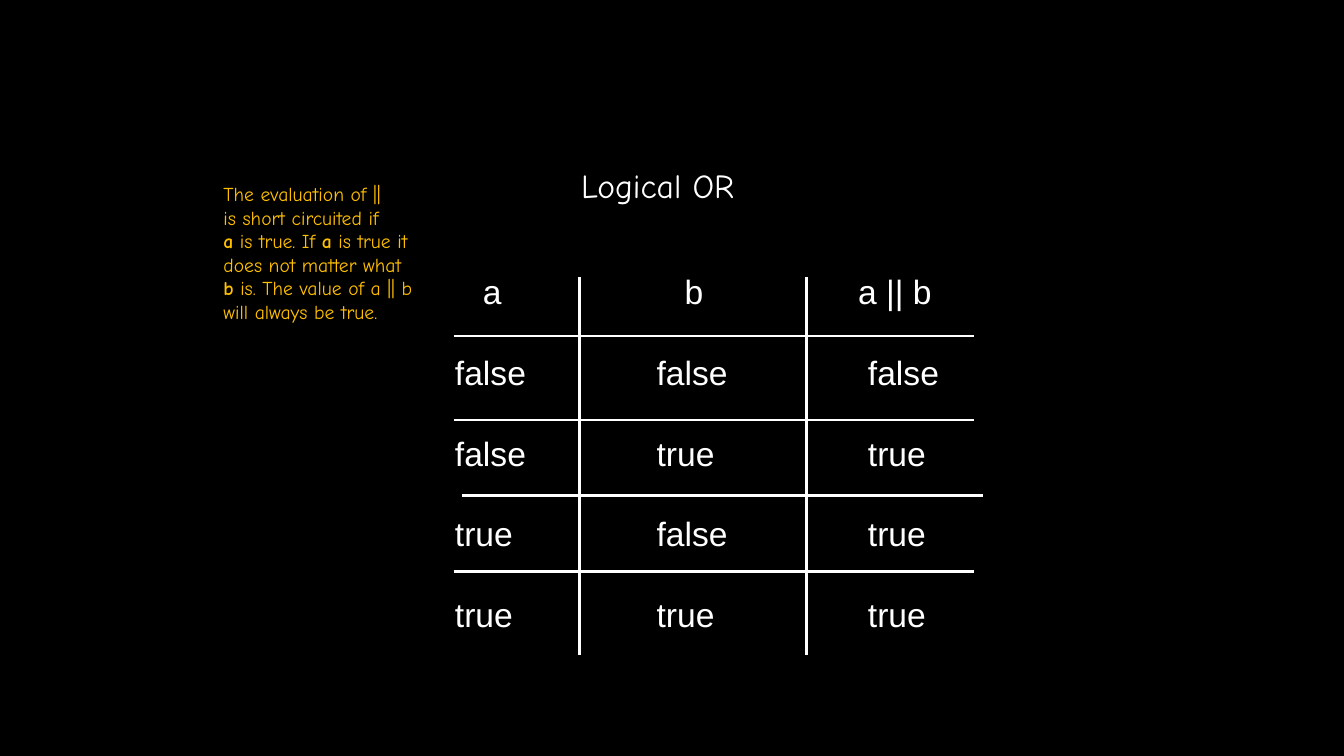
"""Builds a slide with the truth table of logical OR."""
from lxml import etree
from pptx import Presentation
from pptx.dml.color import RGBColor
from pptx.enum.shapes import MSO_CONNECTOR
from pptx.enum.text import MSO_ANCHOR
from pptx.oxml.ns import qn
from pptx.util import Pt

STRAIGHT = MSO_CONNECTOR.STRAIGHT
TOP = MSO_ANCHOR.TOP
BLACK = RGBColor(0x00, 0x00, 0x00)
WHITE = RGBColor(0xFF, 0xFF, 0xFF)
AMBER = RGBColor(0xFF, 0xC0, 0x00)
HAND_FONT = "Comic Neue"
TABLE_FONT = "Arial"
NO_STYLE = "{2D5ABB26-0587-4C30-8999-92F81FD0307C}"

NOTE = [
    [("The evaluation of ||", False)],
    [("is short circuited if", False)],
    [("a", True), (" is true. If ", False), ("a", True), (" is true it", False)],
    [("does not matter what", False)],
    [("b", True), (" is. The value of a || b", False)],
    [("will always be true.", False)],
]
ROWS = [
    ("a", "b", "a || b"),
    ("false", "false", "false"),
    ("false", "true", "true"),
    ("true", "false", "true"),
    ("true", "true", "true"),
]
COL_WIDTHS = (90, 162, 120)
HEADER_INDENTS = (21, 75, 37)
BODY_INDENTS = (1, 55, 44)
ROW_HEIGHT = 57.6
ROW_RULES = [(0, 42), (0, 102), (6, 156), (0, 210)]


def style(font, name, size, color):
    font.name, font.size, font.color.rgb = name, Pt(size), color


def add_text(s, box, lines, size, color):
    tf = s.shapes.add_textbox(*map(Pt, box)).text_frame
    tf.word_wrap = True
    for i, line in enumerate(lines):
        p = tf.paragraphs[0] if i == 0 else tf.add_paragraph()
        style(p.font, HAND_FONT, size, color)
        for text, bold in line:
            r = p.add_run()
            r.text = text
            if bold:
                r.font.bold = True


def add_rule(s, x1, y1, x2, y2):
    line = s.shapes.add_connector(STRAIGHT, Pt(x1), Pt(y1), Pt(x2), Pt(y2))
    line.line.color.rgb = WHITE
    line.line.width = Pt(2)
    etree.SubElement(line._element.spPr, qn("a:effectLst"))


def add_values(s, left, top, width):
    frame = s.shapes.add_table(len(ROWS), len(COL_WIDTHS), Pt(left), Pt(top),
                               Pt(width), Pt(ROW_HEIGHT * len(ROWS)))
    table = frame.table
    table.horz_banding = False
    table._tbl.tblPr.find(qn("a:tableStyleId")).text = NO_STYLE
    for column, col_width in zip(table.columns, COL_WIDTHS):
        column.width = Pt(col_width)
    for i, values in enumerate(ROWS):
        table.rows[i].height = Pt(ROW_HEIGHT)
        indents = BODY_INDENTS if i else HEADER_INDENTS
        for j, (value, indent) in enumerate(zip(values, indents)):
            cell = table.cell(i, j)
            cell.fill.background()
            cell.vertical_anchor = TOP
            cell.margin_left = Pt(indent)
            cell.margin_top = cell.margin_right = cell.margin_bottom = 0
            p = cell.text_frame.paragraphs[0]
            p.text = value
            style(p.font, TABLE_FONT, 24, WHITE)


def add_truth_table(s, left, top, height):
    width = sum(COL_WIDTHS)
    add_values(s, left, top - 2, width)
    for shift, y in ROW_RULES:
        add_rule(s, left + shift, top + y, left + shift + width, top + y)
    x = left
    for col_width in COL_WIDTHS[:-1]:
        x += col_width
        add_rule(s, x, top, x, top + height)


def main():
    prs = Presentation()
    prs.slide_width, prs.slide_height = Pt(960), Pt(540)
    s = prs.slides.add_slide(prs.slide_layouts[6])
    s.background.fill.solid()
    s.background.fill.fore_color.rgb = BLACK
    add_text(s, (408, 114, 134, 36.5), [[("Logical OR", False)]], 24, WHITE)
    add_truth_table(s, 324, 198, 270)
    add_text(s, (152.5, 126.5, 167, 109), NOTE, 14, AMBER)
    prs.save("out.pptx")


if __name__ == "__main__":
    main()
